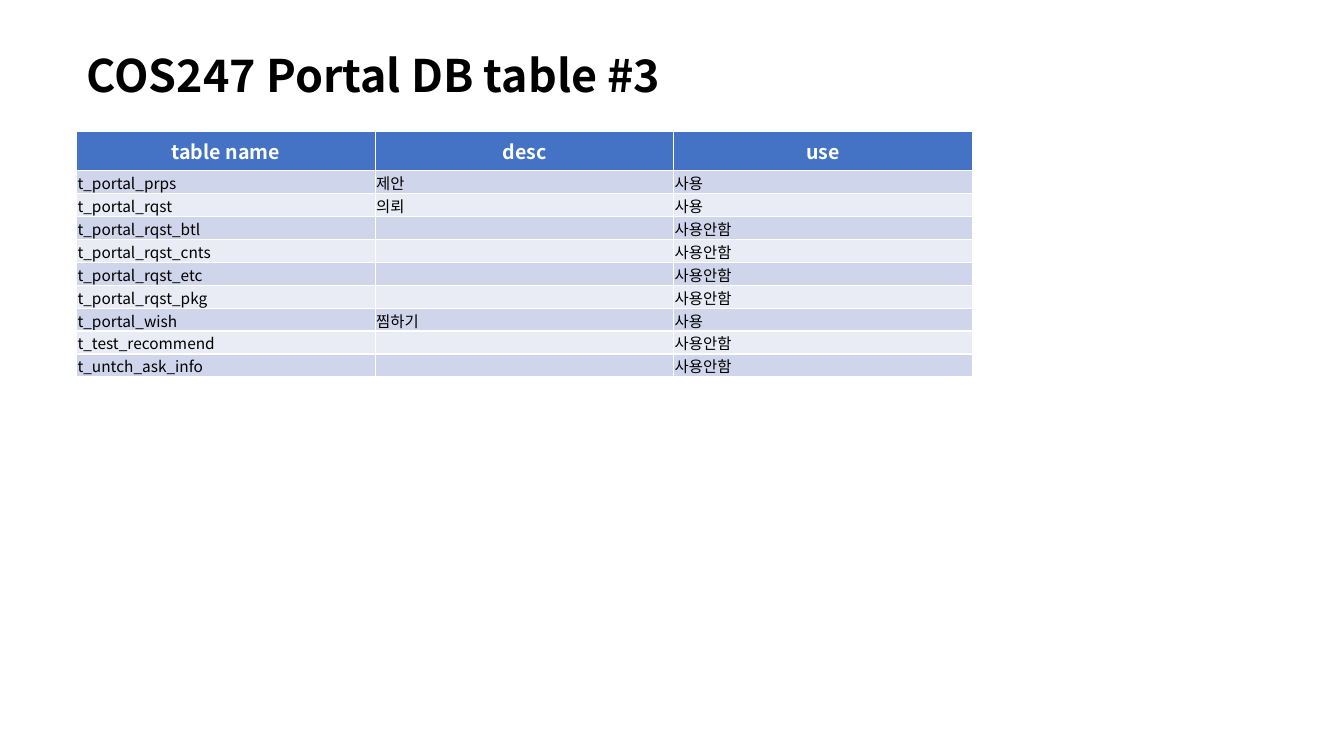
from dataclasses import dataclass

from pptx import Presentation
from pptx.dml.color import RGBColor
from pptx.enum.text import MSO_ANCHOR, MSO_AUTO_SIZE, PP_ALIGN
from pptx.oxml.ns import qn
from pptx.util import Pt
from lxml.etree import SubElement

FONT = "Noto Sans CJK KR"
HEADINGS = ("table name", "desc", "use")
HEADER_HEIGHT, ROW_HEIGHT, COLUMN_WIDTH = 28, 16.4, 213.3
BAND_FILLS = ("CFD5EA", "E9EBF5")


@dataclass(frozen=True)
class TextStyle:
    size: float
    color: str
    bold: bool
    align: PP_ALIGN


@dataclass(frozen=True)
class PortalTable:
    name: str
    use: str
    desc: str = ""


TITLE_STYLE = TextStyle(32, "000000", True, PP_ALIGN.LEFT)
HEADER_STYLE = TextStyle(14, "FFFFFF", True, PP_ALIGN.CENTER)
BODY_STYLE = TextStyle(11, "000000", False, PP_ALIGN.LEFT)

USED, UNUSED = "사용", "사용안함"
PORTAL_TABLES = (
    PortalTable("t_portal_prps", USED, "제안"),
    PortalTable("t_portal_rqst", USED, "의뢰"),
    PortalTable("t_portal_rqst_btl", UNUSED),
    PortalTable("t_portal_rqst_cnts", UNUSED),
    PortalTable("t_portal_rqst_etc", UNUSED),
    PortalTable("t_portal_rqst_pkg", UNUSED),
    PortalTable("t_portal_wish", USED, "찜하기"),
    PortalTable("t_test_recommend", UNUSED),
    PortalTable("t_untch_ask_info", UNUSED),
)


def set_color(color_format, color: str) -> None:
    color_format.rgb = RGBColor.from_string(color)


def set_attributes(target, values: dict) -> None:
    for name, value in values.items():
        setattr(target, name, value)


def write_text(para, text: str, style: TextStyle) -> None:
    para.alignment = style.align
    if not text:
        SubElement(para._p, qn("a:endParaRPr"), sz=str(style.size * 100))
        return
    span = para.add_run()
    span.text = text
    set_attributes(span.font, {"name": FONT, "size": Pt(style.size), "bold": style.bold})
    set_color(span.font.color, style.color)
    SubElement(span.font._element, qn("a:ea"), typeface=FONT)


def fill_cell(cell, text: str, style: TextStyle, fill: str) -> None:
    cell.fill.solid()
    set_color(cell.fill.fore_color, fill)
    write_text(cell.text_frame.paragraphs[0], text, style)


def add_title(page, text: str) -> None:
    box = page.shapes.title
    set_attributes(box, {"left": Pt(54.72), "top": Pt(34.56), "width": Pt(438), "height": Pt(46)})
    set_attributes(box.text_frame, {
        "word_wrap": True,
        "auto_size": MSO_AUTO_SIZE.SHAPE_TO_FIT_TEXT,
        "vertical_anchor": MSO_ANCHOR.TOP,
    })
    para = box.text_frame.paragraphs[0]
    para.line_spacing = 0.9
    write_text(para, text, TITLE_STYLE)


def add_portal_table(page) -> None:
    row_count, column_count = len(PORTAL_TABLES) + 1, len(HEADINGS)
    height = HEADER_HEIGHT + ROW_HEIGHT * len(PORTAL_TABLES)
    table = page.shapes.add_table(
        row_count, column_count, Pt(54.72), Pt(93.8),
        Pt(COLUMN_WIDTH * column_count), Pt(height),
    ).table
    for column in table.columns:
        column.width = Pt(COLUMN_WIDTH)
    for index, row in enumerate(table.rows):
        row.height = Pt(ROW_HEIGHT if index else HEADER_HEIGHT)
    for cell, heading in zip(table.rows[0].cells, HEADINGS):
        fill_cell(cell, heading, HEADER_STYLE, "4472C4")
    body_format = {
        "vertical_anchor": MSO_ANCHOR.MIDDLE,
        "margin_left": Pt(0.7),
        "margin_top": Pt(0.7),
        "margin_right": Pt(0.7),
        "margin_bottom": Pt(0),
    }
    for index, entry in enumerate(PORTAL_TABLES):
        texts = (entry.name, entry.desc, entry.use)
        for cell, text in zip(table.rows[index + 1].cells, texts):
            set_attributes(cell, body_format)
            fill_cell(cell, text, BODY_STYLE, BAND_FILLS[index % 2])


def main() -> None:
    deck = Presentation()
    set_attributes(deck, {"slide_width": Pt(960), "slide_height": Pt(540)})
    page = deck.slides.add_slide(deck.slide_layouts[5])
    add_portal_table(page)
    add_title(page, "COS247 Portal DB table #3")
    deck.save("out.pptx")


if __name__ == "__main__":
    main()
